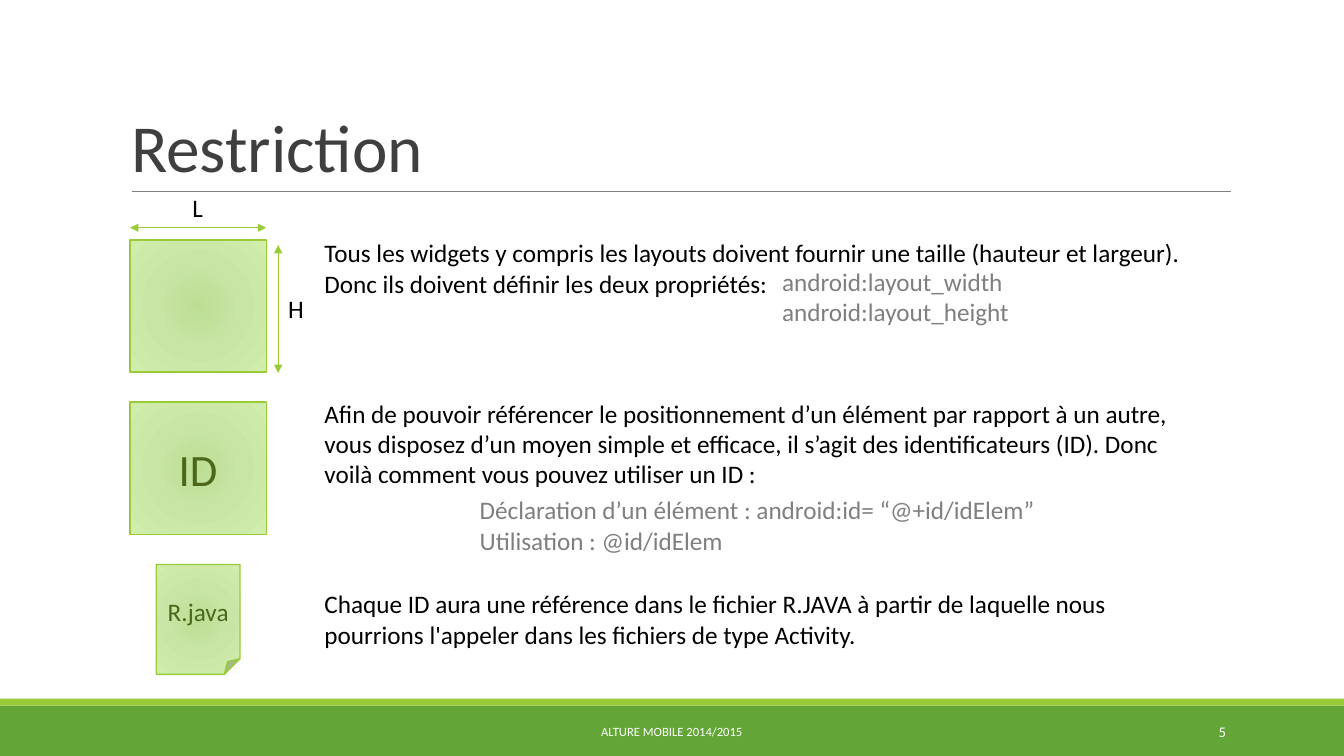
from lxml.etree import SubElement
from pptx import Presentation
from pptx.dml.color import RGBColor
from pptx.enum.shapes import MSO_CONNECTOR, MSO_SHAPE
from pptx.enum.text import MSO_ANCHOR, MSO_AUTO_SIZE, PP_ALIGN
from pptx.oxml import parse_xml
from pptx.oxml.ns import nsdecls, qn
from pptx.util import Inches, Pt

THEME = {
    "font": "Calibri", "black": "000000", "gray": "7F7F7F", "title": "3F3F3F",
    "white": "FFFFFF", "lime": "99CB38", "green": "63A537", "olive": "4C661A",
    "glow": [(0, "BCDE93"), (45, "C8E5A5"), (100, "D0EDAB")],
    "head": 48, "big": 32, "body": 18, "page": 10.5, "foot": 9,
}

deck = Presentation()
deck.slide_width, deck.slide_height = Inches(13.333), Inches(7.5)
slide = deck.slides.add_slide(deck.slide_layouts[5])
shapes = slide.shapes


def place(x, y, *size):
    """Turn percentages of the slide's width and height into lengths."""
    sides = (deck.slide_width, deck.slide_height) * 2
    return [round(part * side / 100) for part, side in zip((x, y, *size), sides)]


def write(shape, text, size="body", color="black", align=PP_ALIGN.LEFT,
          anchor=MSO_ANCHOR.TOP, wrap=True):
    frame = shape.text_frame
    look = {"text": text, "word_wrap": wrap, "vertical_anchor": anchor,
            "auto_size": MSO_AUTO_SIZE.NONE}
    for key, value in look.items():
        setattr(frame, key, value)
    for para in frame.paragraphs:
        para.alignment = align
        font = para.runs[0].font
        font.name, font.size = THEME["font"], Pt(THEME[size])
        font.color.rgb = RGBColor.from_string(THEME[color])


# Footer bars
for color, top, tall in [("green", 93.33, 6.67), ("lime", 92.4, 0.93)]:
    bar = shapes.add_shape(MSO_SHAPE.RECTANGLE, *place(0, top, 100, tall))
    bar.shadow.inherit = False
    bar.fill.solid()
    bar.fill.fore_color.rgb = RGBColor.from_string(THEME[color])
    bar.line.fill.background()

# Title
title = shapes.title
title.left, title.top, title.width, title.height = place(9, 4.13, 82.5, 21.2)
write(title, "Restriction", "head", "title", anchor=MSO_ANCHOR.BOTTOM)
title.text_frame.paragraphs[0].line_spacing = 0.85

# Icons: widget, identifier, file
left, wide, tall = 9.68, 10.13, 17.47
icons = [
    (MSO_SHAPE.RECTANGLE, (left, 31.73, wide, tall), "", "body"),
    (MSO_SHAPE.RECTANGLE, (left, 53.2, wide, tall), "ID", "big"),
    (MSO_SHAPE.FOLDED_CORNER, (11.63, 74.67, 6.23, 14.53), "R.java", "body"),
]
stops = "".join(f'<a:gs pos="{pos * 1000}"><a:srgbClr val="{color}"/></a:gs>'
                for pos, color in THEME["glow"])
glow = (f'<a:gradFill {nsdecls("a")} rotWithShape="1"><a:gsLst>{stops}</a:gsLst>'
        '<a:path path="circle"><a:fillToRect l="50000" t="50000" r="50000" b="50000"/>'
        '</a:path></a:gradFill>')
for kind, area, text, size in icons:
    icon = shapes.add_shape(kind, *place(*area))
    icon.shadow.inherit = False
    icon.line.color.rgb = RGBColor.from_string(THEME["lime"])
    icon.line.width = Pt(1)
    props = icon.element.spPr
    if kind == MSO_SHAPE.FOLDED_CORNER:
        guides = props.find(qn("a:prstGeom")).find(qn("a:avLst"))
        SubElement(guides, qn("a:gd"), name="adj", fmla="val 18700")
    icon.fill.solid()
    props.replace(props.find(qn("a:solidFill")), parse_xml(glow))
    if text:
        write(icon, text, size, "olive", PP_ALIGN.CENTER, MSO_ANCHOR.MIDDLE)

# Title rule and size arrows
lines = [
    ((9.83, 25.33), (91.58, 25.33), "gray", 0.75, False),
    ((left, 30.13), (left + wide, 30.13), "lime", 1, True),
    ((20.7, 32.4), (20.7, 49.33), "lime", 1, True),
]
for start, end, color, width, arrow in lines:
    line = shapes.add_connector(MSO_CONNECTOR.STRAIGHT, *place(*start), *place(*end))
    line.line.color.rgb = RGBColor.from_string(THEME[color])
    line.line.width = Pt(width)
    props = line.element.spPr
    if arrow:
        for tip in ("a:headEnd", "a:tailEnd"):
            SubElement(props.find(qn("a:ln")), qn(tip), type="triangle")
    SubElement(props, qn("a:effectLst"))

# Texts
text_x, pair = 23.4, 9.47
small = {"wrap": False}
code = {"color": "gray"}
foot = {"color": "white", "anchor": MSO_ANCHOR.MIDDLE}
texts = [
    ((13.58, 24.8, 2.33, 5.33), "L", small),
    ((20.7, 38.13, 2.7, 5.33), "H", small),
    ((text_x, 30.8, 68.1, pair),
     "Tous les widgets y compris les layouts doivent fournir une taille (hauteur et "
     "largeur). Donc ils doivent définir les deux propriétés:", {}),
    ((57.45, 34.53, 30.7, pair), "android:layout_width\nandroid:layout_height", code),
    ((text_x, 52, 67.35, tall),
     "Afin de pouvoir référencer le positionnement d’un élément par rapport à un autre, "
     "vous disposez d’un moyen simple et efficace, il s’agit des identificateurs (ID). "
     "Donc voilà comment vous pouvez utiliser un ID :", {}),
    ((34.95, 64.8, 50, pair),
     "Déclaration d’un élément : android:id= “@+id/idElem”\nUtilisation : @id/idElem", code),
    ((text_x, 77.2, 60.6, pair),
     "Chaque ID aura une référence dans le fichier R.JAVA à partir de laquelle nous "
     "pourrions l'appeler dans les fichiers de type Activity.", {}),
    ((30.23, 94.13, 39.5, 5.33), "ALTURE MOBILE 2014/2015",
     {**foot, "size": "foot", "align": PP_ALIGN.CENTER}),
    ((81.23, 94.13, 10.73, 5.33), "5", {**foot, "size": "page", "align": PP_ALIGN.RIGHT}),
]
for area, text, look in texts:
    write(shapes.add_textbox(*place(*area)), text, **look)

deck.save("out.pptx")
